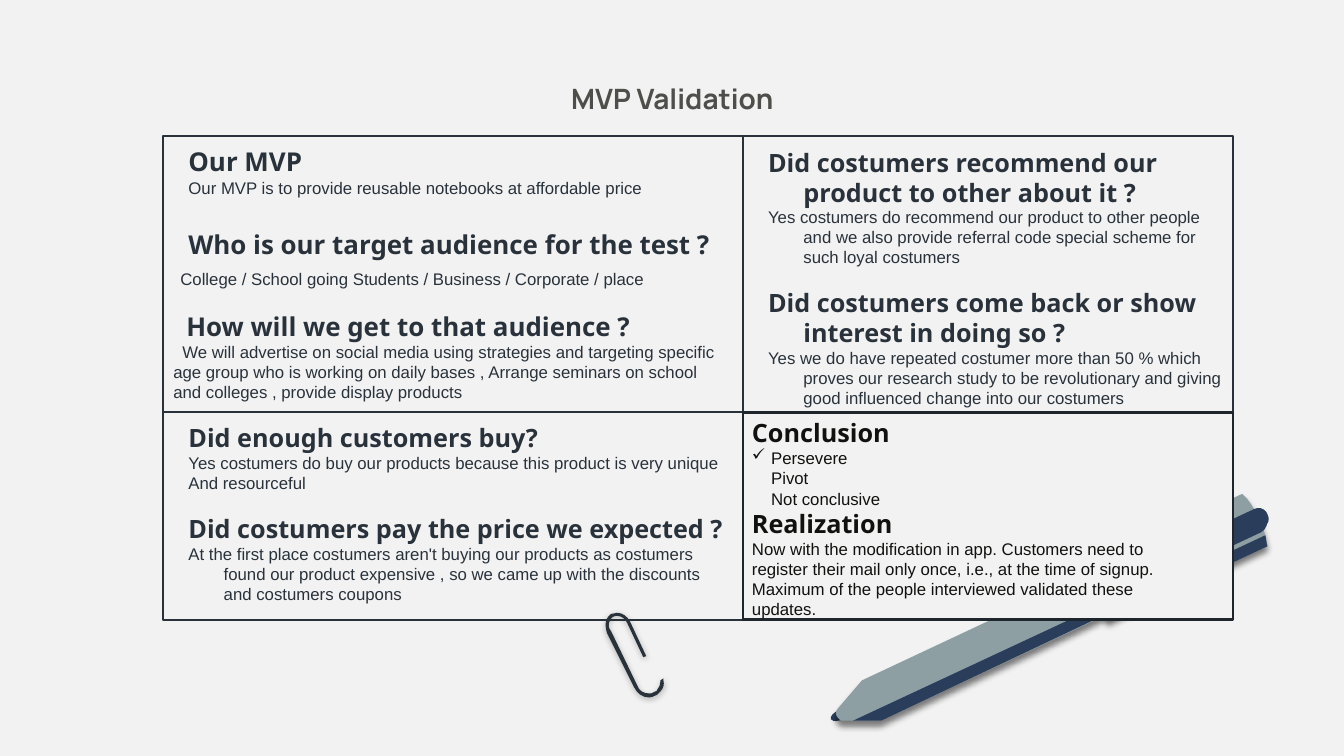
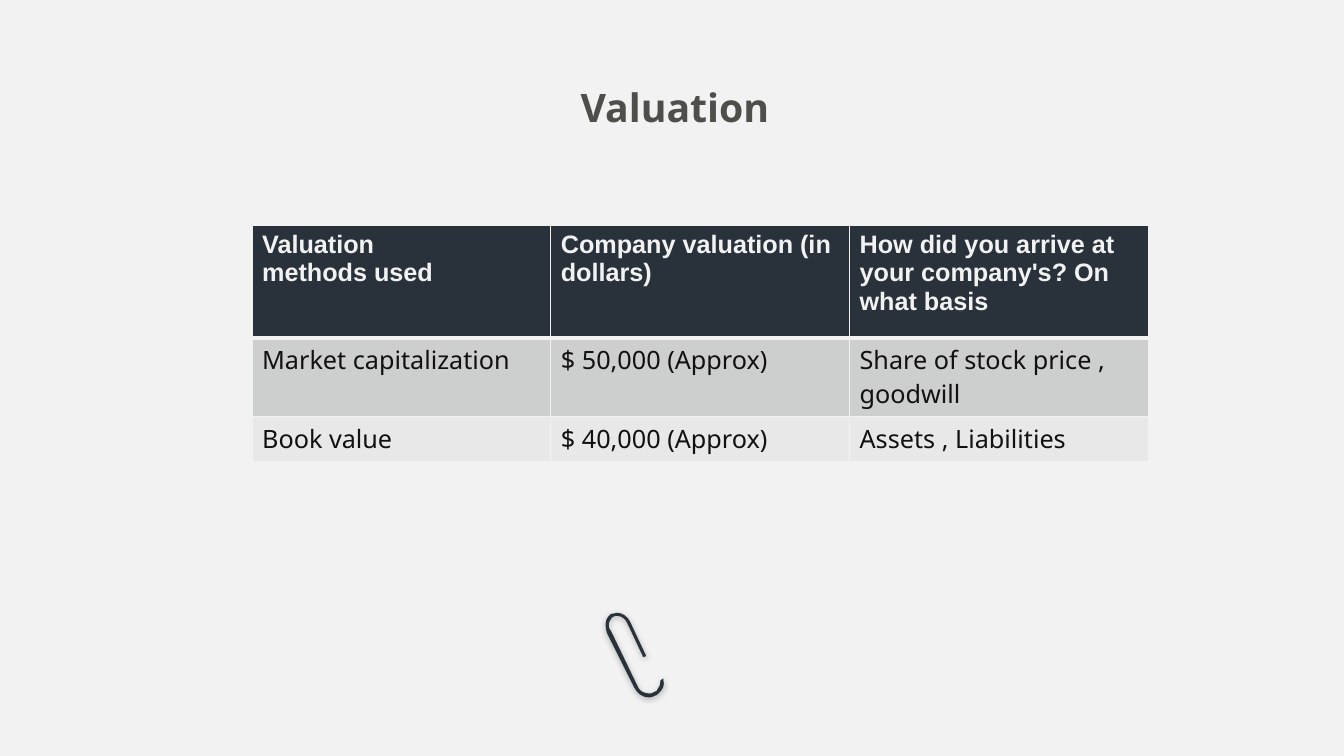
from dataclasses import dataclass
from typing import NamedTuple, Optional

from lxml import etree
from pptx import Presentation
from pptx import util as u
from pptx.dml import color
from pptx.enum import shapes, text
from pptx.oxml import ns

WIDTH, HEIGHT = 13.33, 7.5
COLORS = {
    "paper": "F2F2F2", "ink": "29323B", "edge": "1E252C", "title": "4E4E4A",
    "black": "111110", "navy": "2A3E5C", "steel": "8D9FA3",
    "row_dark": "CDCECE", "row_light": "E8E8E8", "shadow": "000000",
}
# Edges of the two-by-two panel grid, in inches
GRID_X = (1.62, 7.37, 12.23)
GRID_Y = (1.35, 4.09, 6.15)


class Style(NamedTuple):
    font: str
    size: float
    bold: bool
    leading: Optional[float] = None


HEADING = Style("Noto Sans", 18, True, 21.5)
HEADING_WIDE = Style("Noto Sans", 18.5, True, 21.5)
BODY = Style("Arial", 12, False, 14.3)
TABLE_HEAD = Style("Arial", 18, True)
TABLE_BODY = Style("Noto Sans", 18, False)


class Line(NamedTuple):
    """One paragraph: left margin and first-line indent in inches, gap in points."""
    words: str
    style: Style = BODY
    margin: float = 0.5
    indent: float = -0.35
    gap: float = 0
    bullet: str = ""


@dataclass
class Panel:
    col: int
    row: int
    lines: list[Line]
    right_inset: float = 0.1


class Shadow(NamedTuple):
    alpha: int
    blur: float
    distance: float


class Outline(NamedTuple):
    """Closed outline: two numbers make a corner, six a Bezier curve."""
    fill: str
    steps: list[tuple]
    shadow: Optional[Shadow] = None


PEN_SHADOW = Shadow(50, 4.5, 3.8)

CLIP = Outline("ink", [
    (6.52, 6.89), (6.53, 6.88, 6.54, 6.87, 6.55, 6.86), (6.58, 6.83, 6.59, 6.79, 6.58, 6.75),
    (6.58, 6.73), (6.55, 6.75), (6.55, 6.76), (6.55, 6.79, 6.54, 6.82, 6.52, 6.84),
    (6.52, 6.85, 6.51, 6.86, 6.5, 6.86), (6.49, 6.87, 6.49, 6.87, 6.48, 6.87),
    (6.47, 6.88, 6.45, 6.88, 6.44, 6.88), (6.39, 6.88, 6.34, 6.86, 6.32, 6.8),
    (6.06, 6.26), (6.04, 6.24, 6.02, 6.19, 6.06, 6.14), (6.06, 6.13, 6.07, 6.13, 6.08, 6.12),
    (6.08, 6.12, 6.08, 6.12, 6.08, 6.12),
    (6.1, 6.11, 6.11, 6.11, 6.12, 6.11), (6.18, 6.11, 6.21, 6.16, 6.22, 6.18),
    (6.38, 6.52), (6.41, 6.51), (6.25, 6.17), (6.22, 6.11, 6.17, 6.08, 6.12, 6.08),
    (6.1, 6.08, 6.09, 6.08, 6.07, 6.09), (6.07, 6.09, 6.06, 6.09, 6.06, 6.09),
    (6.05, 6.1, 6.04, 6.11, 6.03, 6.12),
    (6, 6.16, 6, 6.22, 6.02, 6.28), (6.29, 6.82), (6.32, 6.88, 6.37, 6.92, 6.44, 6.92),
    (6.46, 6.92, 6.48, 6.91, 6.5, 6.9), (6.5, 6.9, 6.51, 6.9, 6.52, 6.89),
], Shadow(30, 4.5, 1.5))

PEN = [
    # Tip and barrel
    Outline("navy", [(8.46, 7.03), (8.45, 7.01, 8.39, 7.01, 8.33, 7.04),
                     (8.26, 7.07, 8.23, 7.11, 8.24, 7.14), (8.25, 7.14),
                     (8.26, 7.16, 8.31, 7.16, 8.37, 7.13), (8.43, 7.1, 8.48, 7.06, 8.46, 7.03)]),
    Outline("steel", [(11.02, 5.59), (8.55, 6.75), (8.31, 7.03),
                      (8.28, 7.06, 8.29, 7.1, 8.31, 7.12), (8.32, 7.14, 8.34, 7.15, 8.36, 7.15),
                      (8.74, 7.15), (11.21, 5.99)], PEN_SHADOW),
    Outline("navy", [(11.16, 5.89), (8.46, 7.15), (8.74, 7.15), (11.21, 5.98)]),
    # Cap, pocket clip, ring and underside
    Outline("steel", [(12.37, 4.95), (12.35, 4.93, 12.34, 4.92, 12.32, 4.9), (10.75, 5.64),
                      (10.99, 6.16), (12.57, 5.42), (12.56, 5.35, 12.54, 5.26, 12.49, 5.15),
                      (12.45, 5.07, 12.41, 5, 12.37, 4.95)], PEN_SHADOW),
    Outline("navy", [(12.55, 5.12), (12.52, 5.08, 12.47, 5.07, 12.42, 5.09), (11.27, 5.63),
                     (11.22, 5.66, 11.2, 5.72, 11.22, 5.77), (11.23, 5.79),
                     (11.26, 5.82, 11.31, 5.84, 11.36, 5.82), (12.51, 5.28),
                     (12.56, 5.25, 12.58, 5.19, 12.56, 5.14)]),
    Outline("navy", [(12.56, 5.08), (12.53, 5.04, 12.48, 5.03, 12.44, 5.05), (11.29, 5.59),
                     (11.24, 5.61, 11.21, 5.67, 11.24, 5.72), (11.25, 5.74),
                     (11.28, 5.78, 11.33, 5.79, 11.37, 5.77), (12.53, 5.23),
                     (12.58, 5.21, 12.6, 5.15, 12.57, 5.1)]),
    Outline("navy", [(10.78, 5.7), (10.72, 5.73), (10.91, 6.12), (10.97, 6.1)]),
    Outline("navy", [(12.55, 5.31), (10.95, 6.06), (10.99, 6.16), (12.57, 5.42),
                     (12.56, 5.39, 12.56, 5.35, 12.55, 5.31)]),
]

PANELS = [
    Panel(0, 0, [
        Line("Our MVP", HEADING_WIDE, 0.15, 0),
        Line("Our MVP is to provide reusable notebooks at affordable price", BODY, 0.15, 0, 0.5),
        Line("Who is our target audience for the test ?", HEADING_WIDE, 0.15, 0, 22.5),
        Line("College / School going Students / Business / Corporate / place", BODY, 0.07, 0, 6.5),
        Line("How will we get to that audience ?", HEADING_WIDE, 0.13, 0, 16.5),
        Line("We will advertise on social media using strategies and targeting specific "
             "age group who is working on daily bases , Arrange seminars on school "
             "and colleges , provide display products", BODY, 0, 0.09),
    ], right_inset=0.17),
    Panel(1, 0, [
        Line("Did costumers recommend our product to other about it ?", HEADING),
        Line("Yes costumers do recommend our product to other people and we also provide "
             "referral code special scheme for such loyal costumers"),
        Line("Did costumers come back or show interest in doing so ?", HEADING, gap=14.5),
        Line("Yes we do have repeated costumer more than 50 % which proves our research study "
             "to be revolutionary and giving good influenced change into our costumers"),
    ]),
    Panel(0, 1, [
        Line("Did enough customers buy?", HEADING),
        Line("Yes costumers do buy our products because this product is very unique"),
        Line("And resourceful"),
        Line("Did costumers pay the price we expected ?", HEADING, gap=15),
        Line("At the first place costumers aren't buying our products as costumers found our "
             "product expensive , so we came up with the discounts and costumers coupons"),
    ]),
]

CONCLUSION = [
    Line("Conclusion", HEADING, 0, 0),
    Line("Persevere", BODY, 0.19, -0.19, 0.5, "✓"),
    Line("Pivot", BODY, 0.19, 0),
    Line("Not conclusive", BODY, 0.19, 0, 0.5),
    Line("Realization", HEADING, 0, 0),
    Line("Now with the modification in app. Customers need to register their mail only once, "
         "i.e., at the time of signup. Maximum of the people interviewed validated these "
         "updates.", BODY, 0, 0),
]

VALUATION = [
    ("Valuation\vmethods used", "Company valuation (in dollars)",
     "How did you arrive at your company's? On what basis"),
    ("Market capitalization", "$ 50,000 (Approx)", "Share of stock price , goodwill"),
    ("Book value", "$ 40,000 (Approx)", "Assets , Liabilities"),
]
ROW_FILLS = ("ink", "row_dark", "row_light")
ROW_HEIGHTS = (1.11, 0.78, 0.45)
TABLE_WIDTH = 8.89


def rgb(name: str) -> color.RGBColor:
    return color.RGBColor.from_string(COLORS[name])


def sub(parent, tag: str, **attributes):
    return etree.SubElement(parent, ns.qn(tag), attributes)


def format_para(para, style: Style, ink: str) -> None:
    if style.leading:
        para.line_spacing = u.Pt(style.leading)
    for span in para.runs:
        span.font.name, span.font.size, span.font.bold = style.font, u.Pt(style.size), style.bold
        span.font.color.rgb = rgb(ink)


def write_lines(frame, lines: list[Line], ink: str) -> None:
    frame.word_wrap = True
    frame.vertical_anchor = text.MSO_ANCHOR.TOP
    for index, line in enumerate(lines):
        para = frame.add_paragraph() if index else frame.paragraphs[0]
        para.text = line.words
        para.alignment = text.PP_ALIGN.LEFT
        para.space_before = u.Pt(line.gap)
        format_para(para, line.style, ink)
        props = para._p.get_or_add_pPr()
        props.set("marL", str(u.Inches(line.margin)))
        props.set("indent", str(u.Inches(line.indent)))
        if line.bullet:
            sub(props, "a:buChar", char=line.bullet)


def add_title(page, words: str, style: Style, align: text.PP_ALIGN,
              left: float, top: float, width: float, height: float) -> None:
    box = page.shapes.add_textbox(*map(u.Inches, (left, top, width, height)))
    frame = box.text_frame
    frame.word_wrap = True
    frame.vertical_anchor = text.MSO_ANCHOR.MIDDLE
    frame.text = words
    frame.paragraphs[0].alignment = align
    format_para(frame.paragraphs[0], style, "title")


def bend_curves(path, steps: list[tuple]) -> None:
    """Join the three corners of each six-number step into one Bezier curve."""
    corners = iter(path.findall(ns.qn("a:lnTo")))
    for step in steps:
        group = [next(corners) for _ in range(len(step) // 2)]
        if len(group) == 3:
            curve = etree.Element(ns.qn("a:cubicBezTo"))
            group[0].addprevious(curve)
            for corner in group:
                curve.append(corner[0])
                path.remove(corner)


def add_outline(page, outline: Outline) -> None:
    start, *rest = outline.steps
    points = [(u.Inches(step[i]), u.Inches(step[i + 1]))
              for step in rest for i in range(0, len(step), 2)]
    builder = page.shapes.build_freeform(*map(u.Inches, start))
    builder.add_line_segments(points, close=True)
    shape = builder.convert_to_shape()
    bend_curves(next(shape._element.iter(ns.qn("a:path"))), rest)
    shape.fill.solid()
    shape.fill.fore_color.rgb = rgb(outline.fill)
    shape.line.fill.background()
    shape.shadow.inherit = False
    if outline.shadow:
        effects = shape._element.spPr.find(ns.qn("a:effectLst"))
        outer = sub(effects, "a:outerShdw", blurRad=str(u.Pt(outline.shadow.blur)),
                    dist=str(u.Pt(outline.shadow.distance)), dir="5400000", rotWithShape="0")
        tint = sub(outer, "a:srgbClr", val=COLORS["shadow"])
        sub(tint, "a:alpha", val=str(outline.shadow.alpha * 1000))


def add_frame(page, col: int, row: int, edge: str, weight: float):
    left, top = GRID_X[col], GRID_Y[row]
    size = (GRID_X[col + 1] - left, GRID_Y[row + 1] - top)
    shape = page.shapes.add_shape(shapes.MSO_SHAPE.RECTANGLE, *map(u.Inches, (left, top, *size)))
    shape.shadow.inherit = False
    shape.fill.background()
    shape.line.color.rgb = rgb(edge)
    shape.line.width = u.Pt(weight)
    return shape


def add_panel(page, panel: Panel) -> None:
    frame = add_frame(page, panel.col, panel.row, "ink", 1.5).text_frame
    frame.margin_left = frame.margin_bottom = u.Inches(0.1)
    frame.margin_top = u.Inches(0.1 if panel.row else 0.11)
    frame.margin_right = u.Inches(panel.right_inset)
    write_lines(frame, panel.lines, "ink")


def add_borders(cell, top: float, bottom: float) -> None:
    props = cell._tc.get_or_add_tcPr()
    for index, (side, weight) in enumerate((("L", 1), ("R", 1), ("T", top), ("B", bottom))):
        border = sub(props, f"a:ln{side}", w=str(u.Pt(weight)))
        sub(sub(border, "a:solidFill"), "a:srgbClr", val=COLORS["paper"])
        props.insert(index, border)


def add_valuation_table(page) -> None:
    size = (TABLE_WIDTH, sum(ROW_HEIGHTS))
    table = page.shapes.add_table(len(VALUATION), len(VALUATION[0]),
                                  *map(u.Inches, (2.5, 2.24, *size))).table
    table.horz_banding = False
    for r, words in enumerate(VALUATION):
        table.rows[r].height = u.Inches(ROW_HEIGHTS[r])
        for c, word in enumerate(words):
            cell = table.cell(r, c)
            cell.text_frame.text = word
            format_para(cell.text_frame.paragraphs[0], TABLE_BODY if r else TABLE_HEAD,
                        "black" if r else "paper")
            cell.fill.solid()
            cell.fill.fore_color.rgb = rgb(ROW_FILLS[r])
            add_borders(cell, top=3 if r == 1 else 1, bottom=1 if r else 3)


def add_page(deck):
    page = deck.slides.add_slide(deck.slide_layouts[6])
    page.background.fill.solid()
    page.background.fill.fore_color.rgb = rgb("paper")
    add_outline(page, CLIP)
    return page


def main() -> None:
    deck = Presentation()
    deck.slide_width, deck.slide_height = u.Inches(WIDTH), u.Inches(HEIGHT)

    # MVP validation: pen behind a grid of four panels
    page = add_page(deck)
    add_title(page, "MVP Validation", Style("Manrope", 20, True), text.PP_ALIGN.CENTER,
              1.62, 0.73, 10.1, 0.5)
    for part in PEN:
        add_outline(page, part)
    for panel in PANELS:
        add_panel(page, panel)
    backing = add_frame(page, 1, 1, "edge", 2)
    backing.fill.solid()
    backing.fill.fore_color.rgb = rgb("paper")
    box = page.shapes.add_textbox(*map(u.Inches, (7.36, GRID_Y[1], 4.6, 2.12)))
    write_lines(box.text_frame, CONCLUSION, "black")

    # Valuation table
    page = add_page(deck)
    add_title(page, "Valuation", Style("Noto Sans", 28, True), text.PP_ALIGN.LEFT,
              5.66, 0.78, 3.46, 0.57)
    add_valuation_table(page)

    deck.save("out.pptx")


if __name__ == "__main__":
    main()
